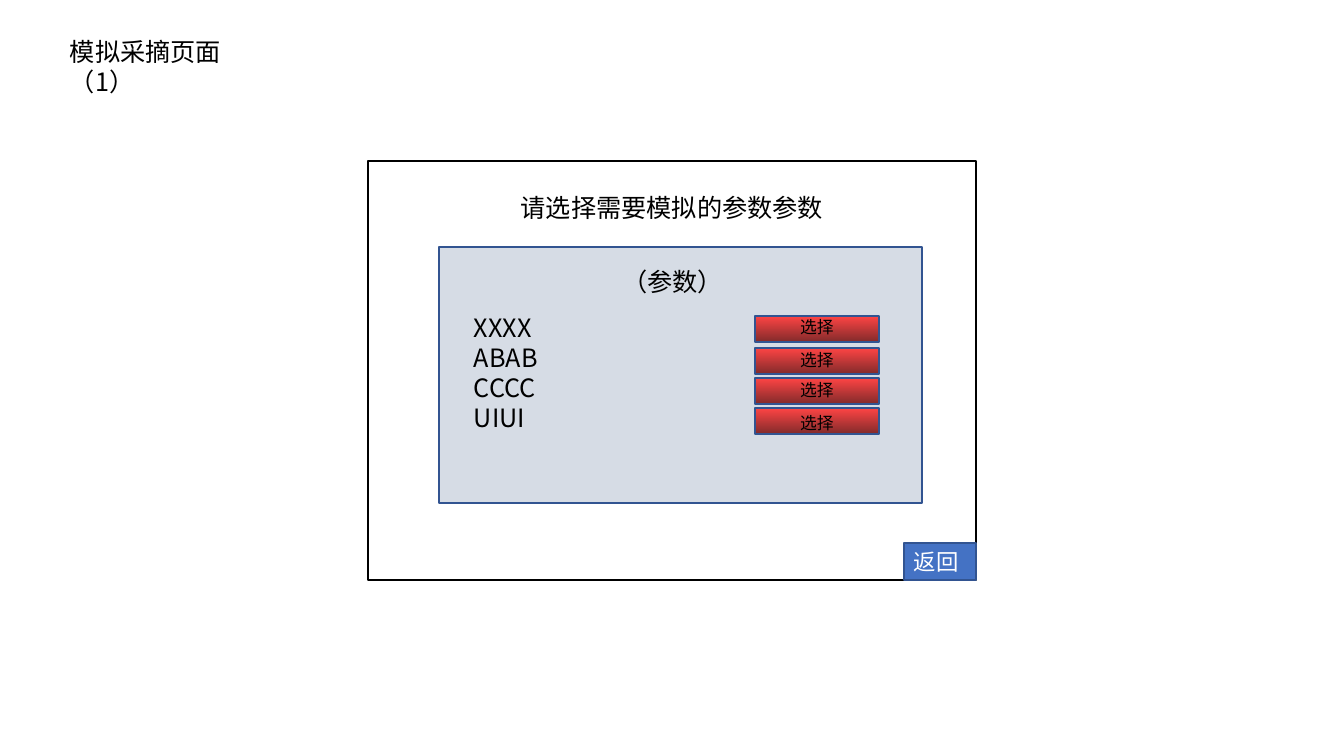
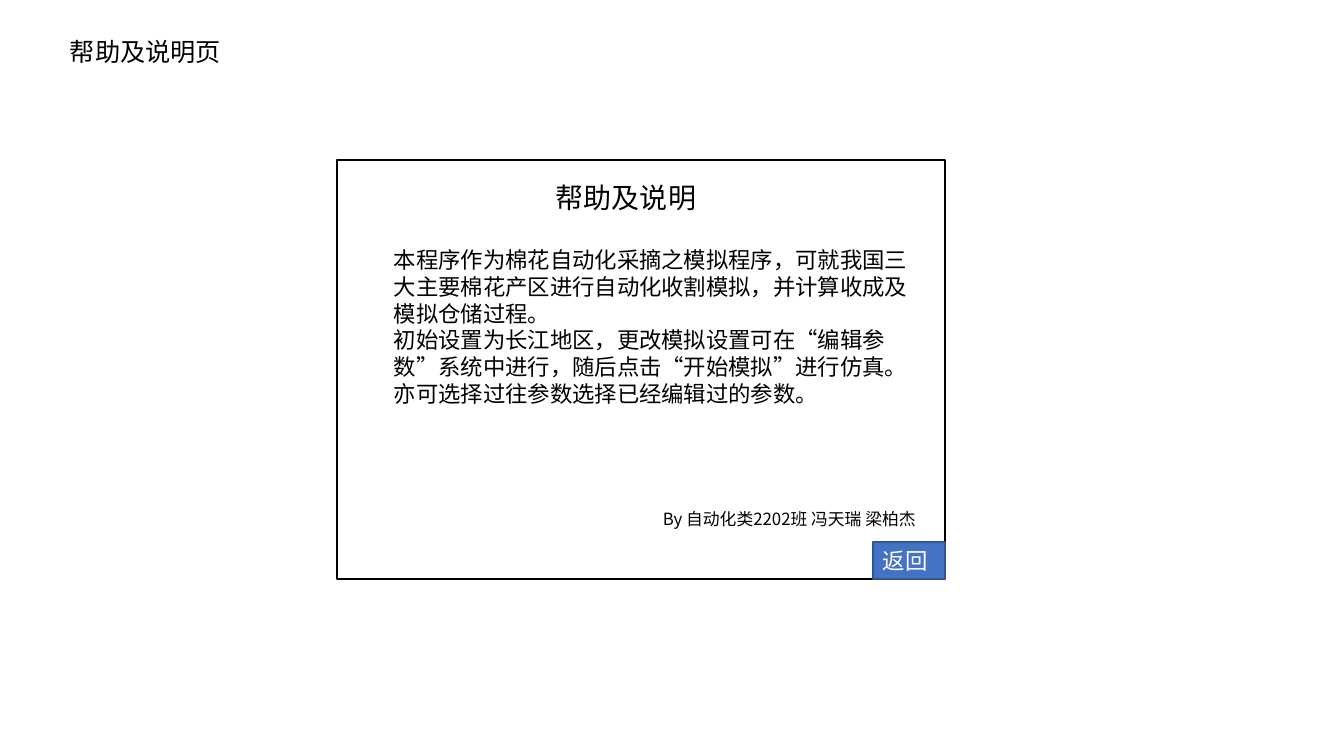
"""Build the simulated picking page and the help page of a cotton harvest program."""
from pptx import Presentation
from pptx.dml.color import RGBColor
from pptx.enum.shapes import MSO_SHAPE
from pptx.enum.text import MSO_ANCHOR, PP_ALIGN
from pptx.oxml.ns import qn
from pptx.util import Pt
from lxml.etree import SubElement

PIXEL = 914400 / 100.8
FONT = "Noto Sans CJK SC"
BLACK, WHITE = "000000", "FFFFFF"
BLUE, BLUE_LINE, PANEL = "4472C4", "325491", "D6DCE5"
RED_GRADIENT = ("FE4444", "832B2B")

TITLE_BOX = (60, 31, 215, 40)
FRAME_SIZE = (608, 419)
BACK_SIZE = (72, 37)
BACK_TEXT = "返回"

PICKING_TITLE = "模拟采摘页面（1）"
PICKING_PROMPT = "请选择需要模拟的参数参数"
PARAMETER_HEADING = "（参数）"
PARAMETERS = ["XXXX", "ABAB", "CCCC", "UIUI"]
SELECT_TEXT = "选择"
BUTTON_TOPS = [316, 348, 378, 408]
LABEL_TOPS = [312, 345, 375, 408]

HELP_TITLE = "帮助及说明页"
HELP_HEADING = "帮助及说明"
HELP_TEXT = [
    "本程序作为棉花自动化采摘之模拟程序，可就我国三大主要棉花产区进行自动化收割模拟，并计算收成及模拟仓储过程。",
    "初始设置为长江地区，更改模拟设置可在“编辑参数”系统中进行，随后点击“开始模拟”进行仿真。亦可选择过往参数选择已经编辑过的参数。",
]
HELP_CREDIT = "By 自动化类2202班 冯天瑞 梁柏杰"


def color(value):
    return RGBColor.from_string(value)


def scale(box):
    return [round(length * PIXEL) for length in box]


def write(shape, lines, size, ink=BLACK, align=PP_ALIGN.LEFT):
    frame = shape.text_frame
    frame.word_wrap = True
    frame.text = "\n".join(lines)
    for paragraph in frame.paragraphs:
        paragraph.alignment = align
        paragraph.font.name = FONT
        paragraph.font.size = Pt(size)
        paragraph.font.color.rgb = color(ink)
    for properties in shape.element.iter(qn("a:defRPr")):
        SubElement(properties, qn("a:ea"), typeface=FONT)


def add_text(slide, box, lines, size, align=PP_ALIGN.LEFT):
    write(slide.shapes.add_textbox(*scale(box)), lines, size, align=align)


def add_box(slide, box, line, fill=None):
    shape = slide.shapes.add_shape(MSO_SHAPE.RECTANGLE, *scale(box))
    shape.shadow.inherit = False
    shape.line.color.rgb = color(line)
    shape.line.width = Pt(1)
    if fill is None:
        shape.fill.background()
    elif isinstance(fill, tuple):
        shape.fill.gradient()
        shape.fill.gradient_angle = 270
        for position, (stop, value) in enumerate(zip(shape.fill.gradient_stops, fill)):
            stop.position = position
            stop.color.rgb = color(value)
    else:
        shape.fill.solid()
        shape.fill.fore_color.rgb = color(fill)
    return shape


def add_page(presentation, title, left, top):
    slide = presentation.slides.add_slide(presentation.slide_layouts[6])
    add_text(slide, TITLE_BOX, [title], 18)
    add_box(slide, (left, top, *FRAME_SIZE), BLACK)
    corner = (left + FRAME_SIZE[0] - BACK_SIZE[0], top + FRAME_SIZE[1] - BACK_SIZE[1])
    back = add_box(slide, (*corner, *BACK_SIZE), BLUE_LINE, BLUE)
    write(back, [BACK_TEXT], 16, WHITE)
    back.text_frame.vertical_anchor = MSO_ANCHOR.MIDDLE
    return slide


def build_picking(presentation):
    slide = add_page(presentation, PICKING_TITLE, 368, 161)
    add_text(slide, (439, 187, 466, 40), [PICKING_PROMPT], 18, PP_ALIGN.CENTER)
    add_box(slide, (439, 247, 483, 256), BLUE_LINE, PANEL)
    add_text(slide, (498, 261, 349, 47), [PARAMETER_HEADING], 18, PP_ALIGN.CENTER)
    add_text(slide, (464, 307, 431, 171), PARAMETERS, 18)
    for button_top, label_top in zip(BUTTON_TOPS, LABEL_TOPS):
        add_box(slide, (755, button_top, 124, 26), BLUE_LINE, RED_GRADIENT)
        add_text(slide, (584, label_top, 466, 30), [SELECT_TEXT], 12, PP_ALIGN.CENTER)


def build_help(presentation):
    slide = add_page(presentation, HELP_TITLE, 337, 160)
    add_text(slide, (488, 176, 276, 44), [HELP_HEADING], 20, PP_ALIGN.CENTER)
    add_text(slide, (384, 241, 539, 173), HELP_TEXT, 16)
    add_text(slide, (653, 504, 282, 30), [HELP_CREDIT], 12)


presentation = Presentation()
presentation.slide_width, presentation.slide_height = scale((1344, 756))
build_picking(presentation)
build_help(presentation)
presentation.save("out.pptx")
